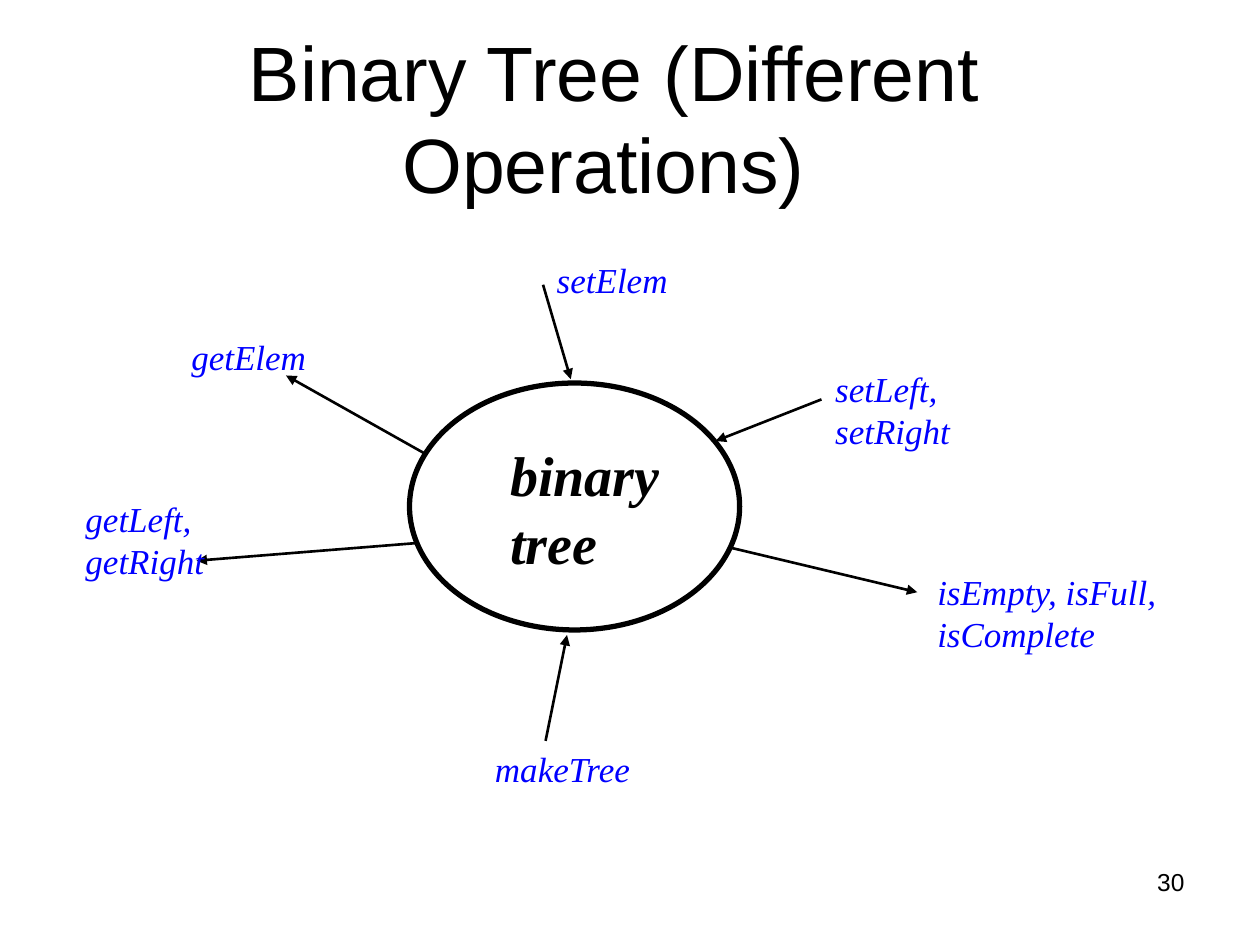
from pptx import Presentation
from pptx.dml.color import RGBColor
from pptx.enum.shapes import MSO_CONNECTOR, MSO_SHAPE
from pptx.enum.text import MSO_ANCHOR, MSO_AUTO_SIZE, PP_ALIGN
from pptx.oxml.ns import qn
from pptx.util import Inches, Pt
from lxml import etree

BLACK = RGBColor(0, 0, 0)
BLUE = RGBColor(0, 0, 255)
SANS, SERIF = "Arial", "Times New Roman"
LINE, OVAL = MSO_CONNECTOR.STRAIGHT, MSO_SHAPE.OVAL
MIDDLE, NO_FIT = MSO_ANCHOR.MIDDLE, MSO_AUTO_SIZE.NONE
LEFT, CENTER, RIGHT = PP_ALIGN.LEFT, PP_ALIGN.CENTER, PP_ALIGN.RIGHT

TITLE = "Binary Tree (Different Operations) "
NUMBER = "30"
CORE = ["binary", "tree"]

# Operations: paragraphs (each a list of lines), label box, arrow start, arrow end
OPS = [
    ([["setLeft,", "setRight"]], (6.53, 2.87, 1.99, 0.43), (6.52, 3.17), (5.68, 3.5)),
    ([["getElem"]], (1.42, 2.61, 1.11, 0.43), (3.39, 3.61), (2.27, 2.98)),
    ([["getLeft,", "getRight"]], (0.58, 3.9, 2.05, 0.43), (3.31, 4.31), (1.56, 4.45)),
    ([["isEmpty, isFull,"], ["isComplete"]], (7.34, 4.48, 2.02, 0.77), (5.81, 4.35), (7.28, 4.7)),
    ([["setElem"]], (4.32, 2, 1.08, 0.43), (4.31, 2.26), (4.53, 3.01)),
    ([["makeTree"]], (3.83, 5.88, 1.3, 0.43), (4.33, 5.88), (4.5, 5.04)),
]


def inches(nums):
    return [Inches(n) for n in nums]


def write(frame, paras, font, size, color, bold=False, italic=False, align=LEFT):
    frame.word_wrap = True
    frame.auto_size = NO_FIT
    for i, lines in enumerate(paras):
        para = frame.add_paragraph() if i else frame.paragraphs[0]
        para.alignment = align
        for j, line in enumerate(lines):
            if j:
                para.add_line_break()
            run = para.add_run()
            run.text = line
            face = run.font
            face.name, face.size = font, Pt(size)
            face.bold, face.italic = bold, italic
            face.color.rgb = color


def add_label(slide, box, *args, **style):
    frame = slide.shapes.add_textbox(*inches(box)).text_frame
    write(frame, *args, **style)
    return frame


def add_arrow(slide, start, end):
    arrow = slide.shapes.add_connector(LINE, *inches(start + end))
    arrow.line.color.rgb = BLACK
    arrow.line.width = Pt(1.5)
    etree.SubElement(arrow.line._get_or_add_ln(), qn("a:tailEnd"), type="triangle")
    etree.SubElement(arrow._element.spPr, qn("a:effectLst"))


def main():
    deck = Presentation()
    deck.slide_width, deck.slide_height = inches((10, 7.5))
    slide = deck.slides.add_slide(deck.slide_layouts[5])

    # Title and slide number
    title = slide.shapes.title
    title.left, title.top, title.width, title.height = inches((0.25, 0.3, 9.25, 1.25))
    write(title.text_frame, [[TITLE]], SANS, 44, BLACK, align=CENTER)
    title.text_frame.vertical_anchor = MIDDLE
    add_label(slide, (7.17, 6.83, 2.33, 0.52), [[NUMBER]], SANS, 14, BLACK, align=RIGHT)

    # Central structure
    oval = slide.shapes.add_shape(OVAL, *inches((3.25, 3.04, 2.62, 1.96)))
    oval.shadow.inherit = False
    oval.fill.background()
    oval.line.color.rgb = BLACK
    oval.line.width = Pt(3)
    core = add_label(slide, (3.95, 3.45, 1.39, 1.17), [[word] for word in CORE],
                     SERIF, 32, BLACK, bold=True, italic=True)
    core.margin_right = 0

    # Operations around it
    for paras, box, start, end in OPS:
        add_arrow(slide, start, end)
        label = add_label(slide, box, paras, SERIF, 20, BLUE, italic=True)
        label.margin_right = 0

    deck.save("out.pptx")


if __name__ == "__main__":
    main()
